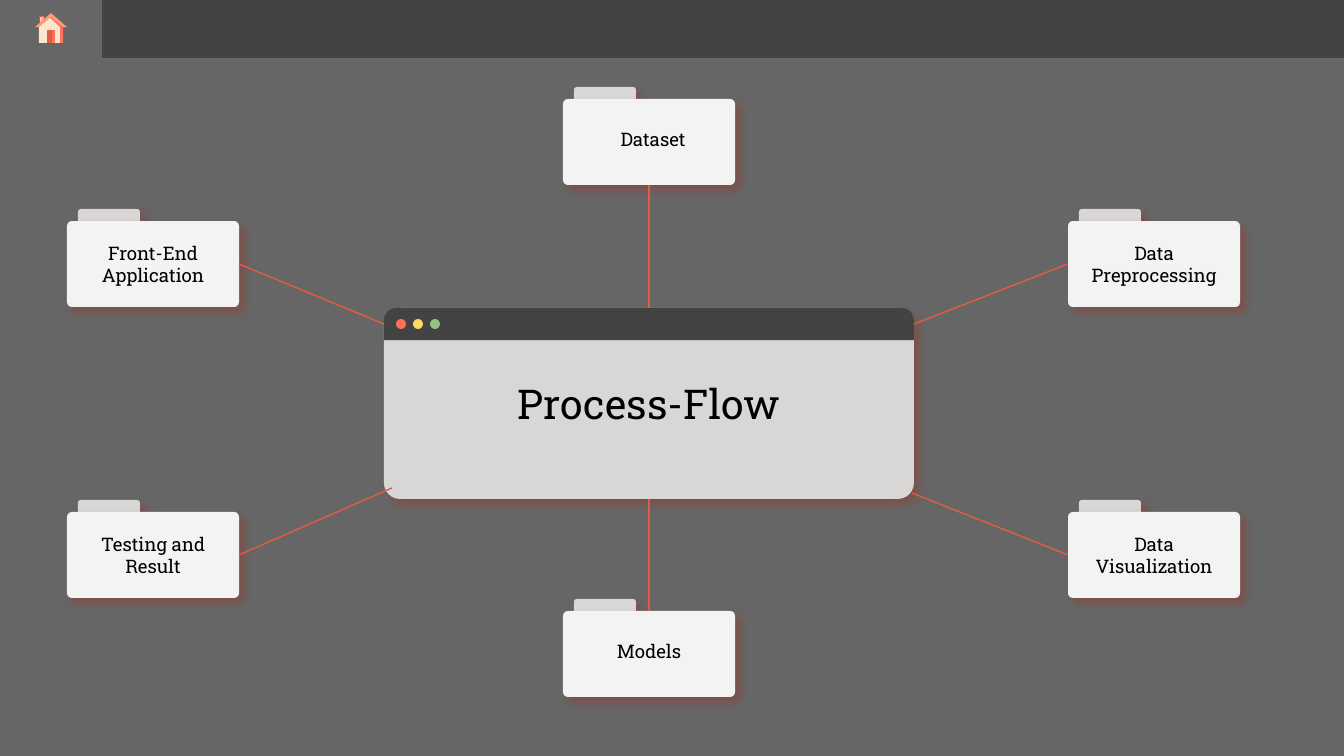
from pptx import Presentation
from pptx.dml.color import RGBColor
from pptx.enum.shapes import MSO_CONNECTOR as Link, MSO_SHAPE as Kind
from pptx.enum.text import MSO_ANCHOR as Anchor, MSO_AUTO_SIZE as Fit, PP_ALIGN as Align
from pptx.oxml.ns import qn
from pptx.util import Emu, Pt
from lxml.etree import SubElement

WIDE, HIGH = 1344, 756
SCALE = 9144000 / WIDE
FONT = "Roboto Slab"

GREY = RGBColor(0x66, 0x66, 0x66)
DARK = RGBColor(0x43, 0x43, 0x43)
LIGHT = RGBColor(0xD8, 0xD7, 0xD6)
PALE = RGBColor(0xF3, 0xF3, 0xF3)
BLACK = RGBColor(0, 0, 0)
RED = RGBColor(0xE5, 0x5A, 0x43)
CORAL = RGBColor(0xFF, 0x70, 0x58)
PEACH = RGBColor(0xFF, 0x9A, 0x75)
CREAM = RGBColor(0xFC, 0xE5, 0xCD)
PINK = RGBColor(0xF6, 0xC5, 0xBE)
ROSE = RGBColor(0xF9, 0xAB, 0xA0)
YELLOW = RGBColor(0xFF, 0xD9, 0x66)
GREEN = RGBColor(0x93, 0xC4, 0x7D)
SHADE = RGBColor(0x96, 0x3A, 0x2A)

TOP, LEFT, BOTTOM, RIGHT = range(4)
BODY_W, BODY_H = 172, 86
WINDOW = (384, 308, 530, 191)
FOLDERS = [
    ("Front-End Application", 67, 221, 0, RIGHT, (384, 324), None),
    ("Dataset", 563, 99, 4, BOTTOM, (649, 308), TOP),
    ("Data Preprocessing", 1068, 221, 0, LEFT, (914, 324), None),
    ("Testing and Result", 67, 512, 0, RIGHT, (392, 488), None),
    ("Data Visualization", 1068, 512, 0, LEFT, (912, 493), None),
    ("Models", 563, 611, 0, TOP, (649, 499), BOTTOM),
]
HOUSE = [
    (PINK, [(5, 4), (5, 10), (9, 6), (9, 4)]),
    (ROSE, [(7, 4), (7, 8), (9, 6), (9, 4)]),
    (CREAM, [(16, 3), (4, 14), (4, 30), (28, 30), (28, 14)]),
    (CORAL, [(16, 3), (14, 4), (25, 14), (25, 30), (28, 30), (28, 14)]),
    (RED, [(4, 3), (4, 4), (9, 4), (9, 3)]),
    (RED, [(12, 17), (12, 30), (20, 30), (20, 17)]),
    (CORAL, [(17, 17), (17, 30), (20, 30), (20, 17)]),
    (PEACH, [(16, 0), (0, 14), (4, 14), (16, 4), (28, 14), (32, 14)]),
    (CORAL, [(8, 3), (8, 4), (9, 4), (9, 3)]),
]


def px(*sizes):
    return [Emu(round(n * SCALE)) for n in sizes]


def paint(shape, fill):
    shape.shadow.inherit = False
    shape.fill.solid()
    shape.fill.fore_color.rgb = fill
    shape.line.fill.background()


def block(root, kind, box, fill, adj=()):
    shape = root.add_shape(kind, *px(*box))
    paint(shape, fill)
    for i, value in enumerate(adj):
        shape.adjustments[i] = value
    return shape


def cast(shape, angle):
    effects = shape._element.spPr.find(qn("a:effectLst"))
    outer = SubElement(effects, qn("a:outerShdw"), blurRad=str(Pt(4.5)),
                       dist=str(Pt(3.8)), dir=str(angle * 60000),
                       algn="bl", rotWithShape="0")
    color = SubElement(outer, qn("a:srgbClr"), val=str(SHADE))
    SubElement(color, qn("a:alpha"), val="47000")


def write(frame, text, size=10, anchor=Anchor.TOP, fit=Fit.NONE):
    frame.word_wrap = True
    frame.auto_size = fit
    frame.vertical_anchor = anchor
    frame.margin_left = frame.margin_right = Pt(7.2)
    frame.margin_top = frame.margin_bottom = Pt(7.2)
    para = frame.paragraphs[0]
    para.alignment = Align.CENTER
    run = para.add_run()
    run.text = text
    run.font.size = Pt(size)
    run.font.name = FONT
    run.font.color.rgb = BLACK


def header(root, x, y, w, h):
    block(root, Kind.RECTANGLE, (x, y, w, h), DARK)
    block(root, Kind.RECTANGLE, (x, y, 102, h), GREY)
    house(root.add_group_shape().shapes, x + 35, y + 13)


def house(root, x, y):
    for fill, dots in HOUSE:
        first, *rest = [(x + dx, y + dy) for dx, dy in dots]
        pen = root.build_freeform(*first, scale=SCALE)
        pen.add_line_segments(rest)
        paint(pen.convert_to_shape(), fill)


def window(root, x, y, w, h):
    pane = block(root, Kind.ROUNDED_RECTANGLE, (x, y, w, h), LIGHT, [0.084])
    cast(pane, 49)
    write(pane.text_frame, "Process-Flow", size=22, anchor=Anchor.MIDDLE)
    block(root, Kind.ROUND_2_SAME_RECTANGLE, (x, y, w, 32), DARK, [0.383, 0])
    for i, fill in enumerate((CORAL, YELLOW, GREEN)):
        block(root, Kind.OVAL, (x + 12 + 17 * i, y + 11, 10, 10), fill)
    return pane


def folder(root, x, y, w, h):
    tab = block(root, Kind.ROUNDED_RECTANGLE, (x + 11, y - 12, 62, 30), LIGHT, [0.098])
    body = block(root, Kind.ROUNDED_RECTANGLE, (x, y, w, h), PALE, [0.056])
    cast(tab, 46)
    cast(body, 46)
    return body


def label(root, text, x, y, w, h):
    tall = 72 if " " in text else 50
    area = root.add_textbox(*px(x, y + (h - tall) // 2, w, tall))
    write(area.text_frame, text, fit=Fit.SHAPE_TO_FIT_TEXT)


def join(root, body, side, pane, end, site):
    line = root.add_connector(Link.STRAIGHT, *px(*end, *end))
    line.begin_connect(body, side)
    if site is not None:
        line.end_connect(pane, site)
    line.line.color.rgb = RED
    line.line.width = Pt(0.75)
    SubElement(line._element.spPr, qn("a:effectLst"))


def main():
    deck = Presentation()
    deck.slide_width, deck.slide_height = px(WIDE, HIGH)
    slide = deck.slides.add_slide(deck.slide_layouts[6])
    slide.background.fill.solid()
    slide.background.fill.fore_color.rgb = GREY
    root = slide.shapes
    header(root, 0, 0, WIDE, 58)
    pane = window(root.add_group_shape().shapes, *WINDOW)
    bodies = [folder(root.add_group_shape().shapes, x, y, BODY_W, BODY_H)
              for _, x, y, *_ in FOLDERS]
    for text, x, y, shift, *_ in FOLDERS:
        label(root, text, x + shift, y, BODY_W, BODY_H)
    for body, (*_, side, end, site) in zip(bodies, FOLDERS):
        join(root, body, side, pane, end, site)
    deck.save("out.pptx")


if __name__ == "__main__":
    main()
